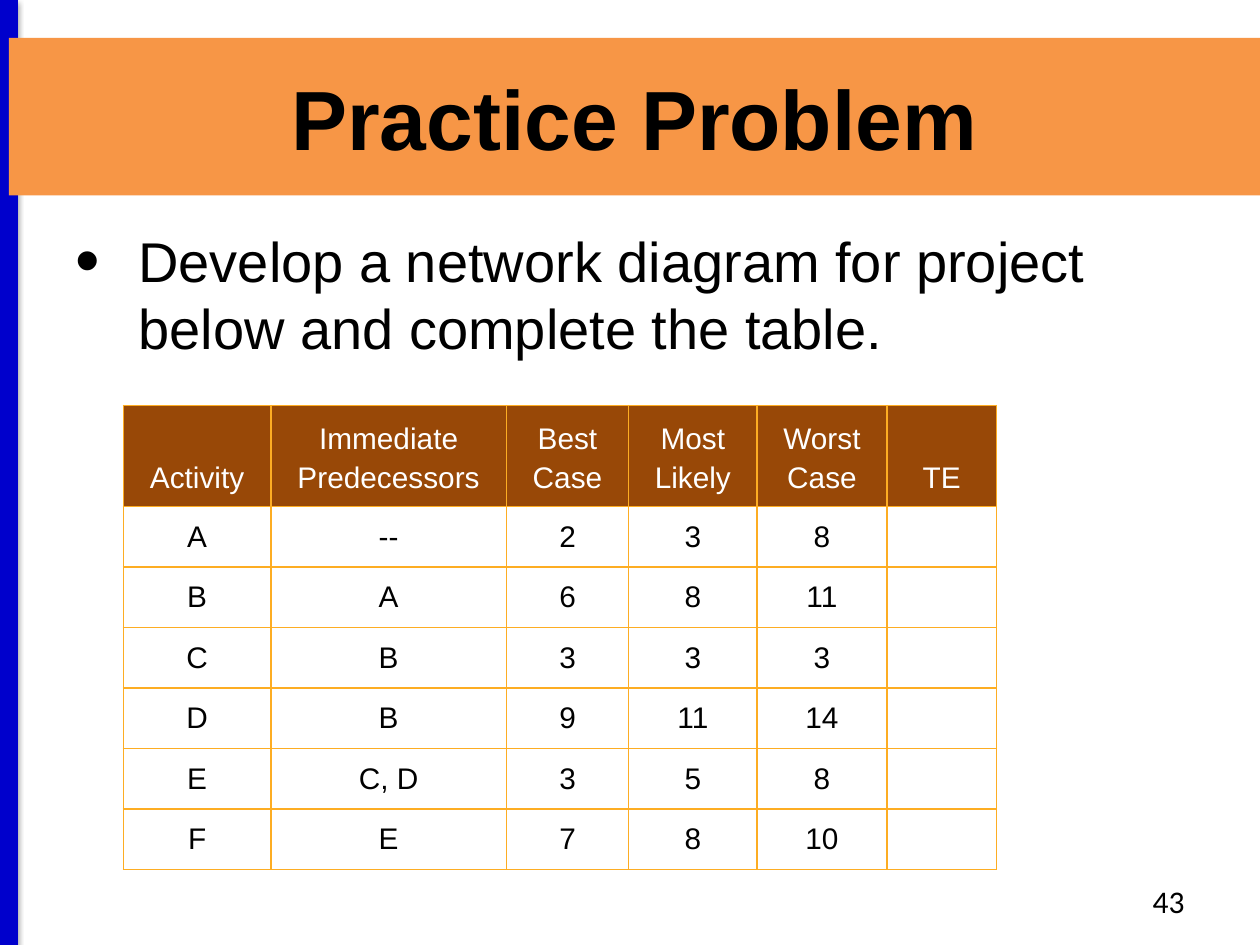
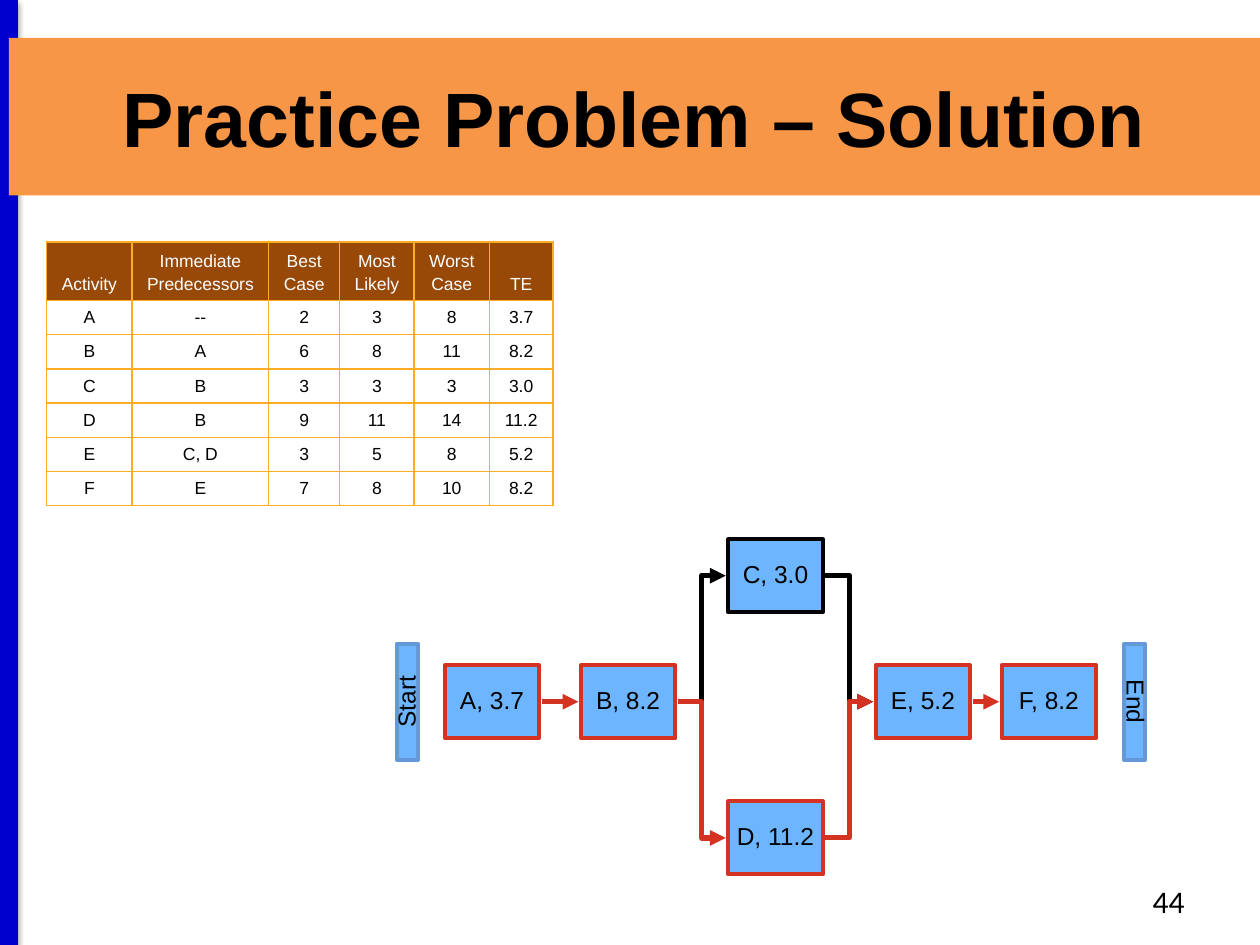
from lxml import etree
from pptx import Presentation
from pptx.dml.color import RGBColor
from pptx.enum.shapes import MSO_CONNECTOR, MSO_SHAPE
from pptx.enum.text import MSO_ANCHOR, PP_ALIGN
from pptx.oxml.ns import qn
from pptx.util import Inches, Pt

RECTANGLE = MSO_SHAPE.RECTANGLE
STRAIGHT, ELBOW = MSO_CONNECTOR.STRAIGHT, MSO_CONNECTOR.ELBOW
TOP, MIDDLE, BOTTOM = MSO_ANCHOR.TOP, MSO_ANCHOR.MIDDLE, MSO_ANCHOR.BOTTOM
LEFT, CENTER, RIGHT = PP_ALIGN.LEFT, PP_ALIGN.CENTER, PP_ALIGN.RIGHT

COLORS = {
    "text": "000000",
    "header_text": "FFFFFF",
    "header": "984807",
    "grid": "FDAD23",
    "title_band": "F79646",
    "side_band": "0000CC",
    "node": "6DB6FF",
    "critical": "D33320",
    "slack": "000000",
    "terminal": "6498D9",
}
FONT = "Arial"

HEADERS = ["Activity", "Immediate\nPredecessors", "Best\nCase",
           "Most\nLikely", "Worst\nCase", "TE"]
COLUMN_WIDTHS = [1.17, 1.87, 0.97, 1.02, 1.03, 0.87]
ACTIVITIES = [
    ["A", "--", "2", "3", "8"],
    ["B", "A", "6", "8", "11"],
    ["C", "B", "3", "3", "3"],
    ["D", "B", "9", "11", "14"],
    ["E", "C, D", "3", "5", "8"],
    ["F", "E", "7", "8", "10"],
]
EXPECTED_TIMES = {"A": "3.7", "B": "8.2", "C": "3.0",
                  "D": "11.2", "E": "5.2", "F": "8.2"}

# Network layout, relative to the top left corner of the diagram
NODE_WIDTH, NODE_HEIGHT = 0.75, 0.58
NODES = {"A": (0.38, 1), "B": (1.46, 1), "C": (2.63, 0),
         "D": (2.63, 2.08), "E": (3.8, 1), "F": (4.8, 1)}
LINKS = [("B", "C"), ("A", "B"), ("B", "D"), ("C", "E"), ("D", "E"), ("E", "F")]
OFF_CRITICAL_PATH = "C"


def color(name):
    return RGBColor.from_string(COLORS[name])


def format_text(text_frame, size, align, anchor, font=FONT, fill="text", bold=False):
    text_frame.vertical_anchor = anchor
    for paragraph in text_frame.paragraphs:
        paragraph.alignment = align
        for run in paragraph.runs:
            run.font.name = font
            run.font.size = Pt(size)
            run.font.bold = bold
            run.font.color.rgb = color(fill)


def add_box(slide, left, top, width, height, fill, line=None):
    shape = slide.shapes.add_shape(
        RECTANGLE, Inches(left), Inches(top), Inches(width), Inches(height))
    shape.shadow.inherit = False
    shape.fill.solid()
    shape.fill.fore_color.rgb = color(fill)
    if line:
        shape.line.color.rgb = color(line)
        shape.line.width = Pt(2.25)
    else:
        shape.line.fill.background()
    return shape


def add_text(slide, left, top, width, height, text):
    box = slide.shapes.add_textbox(
        Inches(left), Inches(top), Inches(width), Inches(height))
    box.text_frame.word_wrap = True
    box.text_frame.text = text
    return box.text_frame


def add_line(slide, kind, start, end, line, width):
    """Draw a connector and return it with its empty effect list."""
    connector = slide.shapes.add_connector(
        kind, *(Inches(value) for value in (*start, *end)))
    connector.line.color.rgb = color(line)
    connector.line.width = Pt(width)
    effects = etree.SubElement(connector.element.spPr, qn("a:effectLst"))
    return connector, effects


def add_frame(presentation, title, title_size, number):
    """Start a slide with the side band, title band and slide number."""
    slide = presentation.slides.add_slide(presentation.slide_layouts[6])

    # Side band with a soft shadow
    _, effects = add_line(slide, STRAIGHT, (0.07, 0), (0.07, 7.5), "side_band", 10)
    shadow = etree.SubElement(effects, qn("a:outerShdw"), blurRad="40000",
                              dist="20000", dir="5400000", rotWithShape="0")
    shade = etree.SubElement(shadow, qn("a:srgbClr"), val=COLORS["text"])
    etree.SubElement(shade, qn("a:alpha"), val="38000")

    # Title
    band = add_box(slide, 0.07, 0.3, 9.93, 1.25, "title_band")
    band.text_frame.text = title
    format_text(band.text_frame, title_size, CENTER, MIDDLE, bold=True)

    # Slide number
    footer = add_text(slide, 7.17, 6.95, 2.33, 0.4, str(number))
    format_text(footer, 18, RIGHT, TOP, font="Calibri")
    return slide


def add_task(slide, left, top, width, height, text):
    """Add the bulleted task statement."""
    text_frame = add_text(slide, left, top, width, height, text)
    properties = text_frame.paragraphs[0]._p.get_or_add_pPr()
    properties.set("marL", str(Inches(0.5)))
    properties.set("indent", str(-Inches(0.5)))
    etree.SubElement(properties, qn("a:buSzPct"), val="125000")
    etree.SubElement(properties, qn("a:buFont"), typeface=FONT)
    etree.SubElement(properties, qn("a:buChar"), char="•")
    text_frame.paragraphs[0].space_after = Pt(12)
    format_text(text_frame, 32, LEFT, TOP)


def format_cell(cell, text, scale, is_header):
    cell.margin_left = cell.margin_right = Inches(0.17 * scale)
    cell.margin_top = cell.margin_bottom = Inches(0.09 * scale)
    cell.text_frame.text = text
    format_text(cell.text_frame, round(17 * scale), CENTER, TOP,
                fill="header_text" if is_header else "text")
    cell.vertical_anchor = BOTTOM if is_header else MIDDLE
    for paragraph in cell.text_frame.paragraphs[1:]:
        paragraph.space_before = Pt(3.4 * scale)

    # Borders come before the fill
    properties = cell._tc.get_or_add_tcPr()
    for side in ("lnL", "lnR", "lnT", "lnB"):
        border = etree.SubElement(properties, qn(f"a:{side}"), w=str(Pt(1)))
        fill = etree.SubElement(border, qn("a:solidFill"))
        etree.SubElement(fill, qn("a:srgbClr"), val=COLORS["grid"])
    if is_header:
        cell.fill.solid()
        cell.fill.fore_color.rgb = color("header")
    else:
        cell.fill.background()


def add_activity_table(slide, left, top, header_height, row_height,
                       expected_times, scale=1):
    rows = [HEADERS] + [row + [expected_times.get(row[0], "")] for row in ACTIVITIES]
    heights = [header_height] + [row_height] * len(ACTIVITIES)
    widths = [width * scale for width in COLUMN_WIDTHS]
    table = slide.shapes.add_table(
        len(rows), len(HEADERS), Inches(left), Inches(top),
        Inches(sum(widths)), Inches(sum(heights))).table
    table.first_row = table.horz_banding = False
    for column, width in zip(table.columns, widths):
        column.width = Inches(width)
    for row_index, (values, height) in enumerate(zip(rows, heights)):
        table.rows[row_index].height = Inches(height)
        for column_index, value in enumerate(values):
            format_cell(table.cell(row_index, column_index), value, scale,
                        row_index == 0)


def add_node(slide, left, top, width, height, text, line):
    node = add_box(slide, left, top, width, height, "node", line)
    node.text_frame.word_wrap = False
    node.text_frame.text = text
    node.text_frame.paragraphs[0].line_spacing = 0.9
    format_text(node.text_frame, 14, CENTER, MIDDLE)
    return node


def add_network(slide, left, top):
    """Draw the activity network with its critical path in red."""
    # Activities
    for name, (x, y) in NODES.items():
        line = "slack" if name == OFF_CRITICAL_PATH else "critical"
        add_node(slide, left + x, top + y, NODE_WIDTH, NODE_HEIGHT,
                 f"{name}, {EXPECTED_TIMES[name]}", line)

    # Arrows, held just clear of the node outlines
    gap = 0.02
    for source, target in LINKS:
        (x1, y1), (x2, y2) = NODES[source], NODES[target]
        middle = top + NODE_HEIGHT / 2
        connector, _ = add_line(
            slide, STRAIGHT if y1 == y2 else ELBOW,
            (left + x1 + NODE_WIDTH + gap, middle + y1),
            (left + x2 - gap, middle + y2),
            "slack" if OFF_CRITICAL_PATH in (source, target) else "critical", 3)
        etree.SubElement(connector.line._get_or_add_ln(), qn("a:tailEnd"),
                         type="triangle")

    # Start and end bars
    for text, x, direction in (("Start", 0, "vert270"), ("End", 5.77, "vert")):
        bar = add_node(slide, left + x, top + 0.83, 0.17, 0.92, text, "terminal")
        bar.element.txBody.bodyPr.set("vert", direction)


def add_problem_slide(presentation):
    slide = add_frame(presentation, "Practice Problem", 48, 43)
    add_task(slide, 0.5, 1.75, 9, 1.3,
             "Develop a network diagram for project below and complete the table.")
    add_activity_table(slide, 0.98, 3.22, 0.8, 0.46, {})


def add_solution_slide(presentation):
    slide = add_frame(presentation, "Practice Problem – Solution", 44, 44)
    add_activity_table(slide, 0.37, 1.92, 0.44, 0.25, EXPECTED_TIMES, scale=0.58)
    add_network(slide, 3.15, 4.28)


def main():
    presentation = Presentation()
    presentation.slide_width = Inches(10)
    presentation.slide_height = Inches(7.5)
    add_problem_slide(presentation)
    add_solution_slide(presentation)
    presentation.save("out.pptx")


if __name__ == "__main__":
    main()
